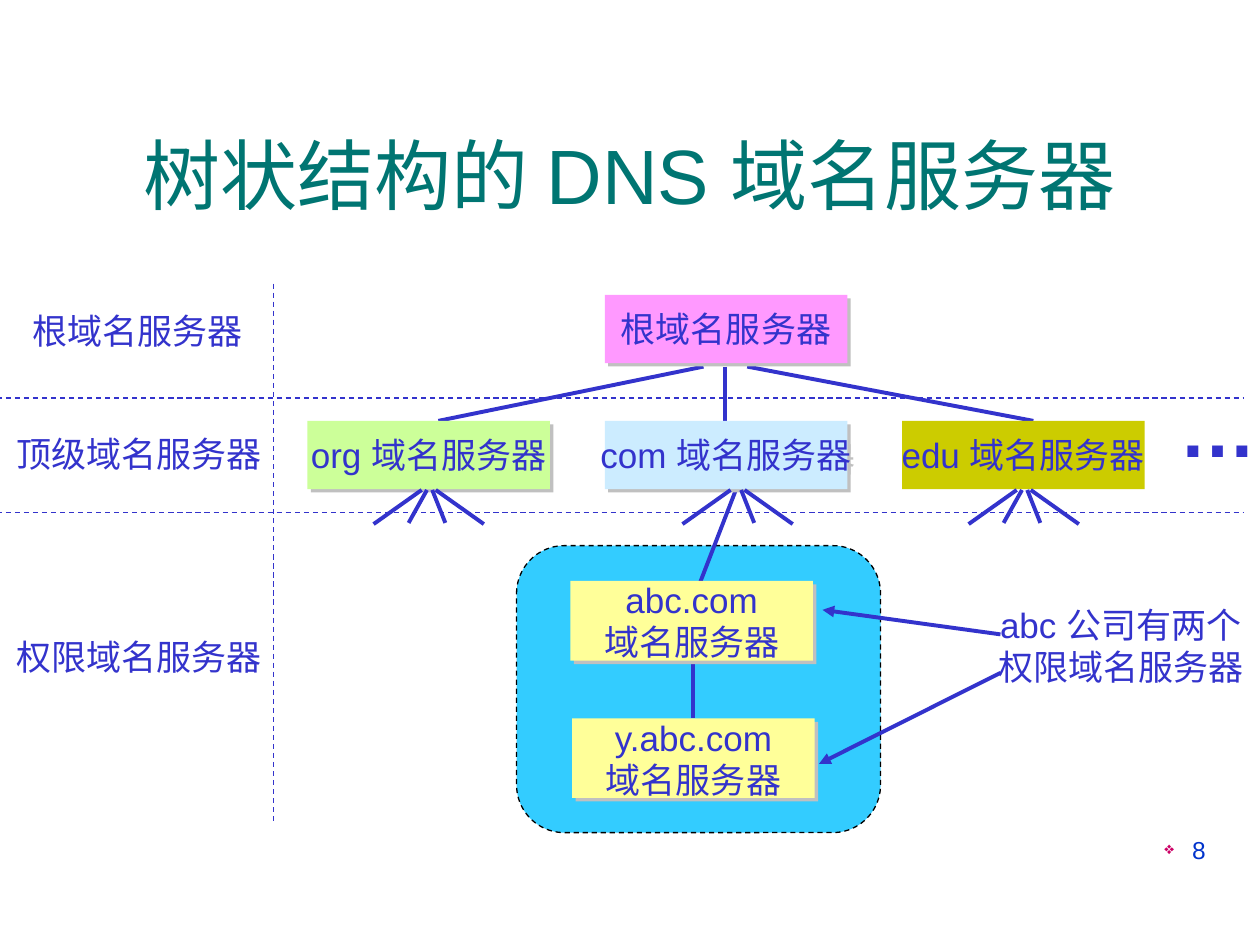
from lxml import etree
from pptx import Presentation
from pptx import util as u
from pptx.dml import color
from pptx.enum import dml, shapes, text
from pptx.oxml import ns

Pt = u.Pt
theme = {
    "font": "Arial", "title_size": 44, "body_size": 20, "number_size": 14,
    "title": "007572", "ink": "3333CC", "number": "0033CC", "bullet": "CC0066",
    "cluster": "33CCFF", "edge": "000000", "shadow": "C0C0C0",
    "root": "FF99FF", "org": "CCFF99", "com": "CCECFF", "edu": "CCCC00",
    "authority": "FFFF99", "heavy": 2.25, "thin": 0.75,
}


def line(x1, y1, x2, y2, dashed=False, arrow=False):
    c = s.shapes.add_connector(shapes.MSO_CONNECTOR.STRAIGHT, Pt(x1), Pt(y1), Pt(x2), Pt(y2))
    c.line.color.rgb = color.RGBColor.from_string(theme["ink"])
    c.line.width = Pt(theme["thin"] if dashed else theme["heavy"])
    if dashed:
        c.line.dash_style = dml.MSO_LINE.DASH
    if arrow:
        etree.SubElement(c.line._get_or_add_ln(), ns.qn("a:tailEnd"), type="triangle")
    etree.SubElement(c._element.spPr, ns.qn("a:effectLst"))


def write(sp, content, size="body_size", ink="ink", align=text.PP_ALIGN.CENTER,
          anchor=text.MSO_ANCHOR.TOP, wrap=False):
    tf = sp.text_frame
    tf.text = content
    tf.word_wrap = wrap
    tf.auto_size = text.MSO_AUTO_SIZE.NONE
    tf.vertical_anchor = anchor
    for p in tf.paragraphs:
        p.alignment = align
        p.font.name = theme["font"]
        p.font.size = Pt(theme[size])
        p.font.color.rgb = color.RGBColor.from_string(theme[ink])
    return tf.paragraphs[0]


prs = Presentation()
prs.slide_width, prs.slide_height = Pt(720), Pt(540)
s = prs.slides.add_slide(prs.slide_layouts[5])

title = s.shapes.title
title.left, title.top, title.width, title.height = Pt(24), Pt(54), Pt(672), Pt(90)
write(title, "树状结构的 DNS 域名服务器", "title_size", "title",
      anchor=text.MSO_ANCHOR.MIDDLE, wrap=True)

cluster = s.shapes.add_shape(shapes.MSO_SHAPE.ROUNDED_RECTANGLE,
                             Pt(295.2), Pt(311.8), Pt(208), Pt(164))
cluster.shadow.inherit = False
cluster.fill.solid()
cluster.fill.fore_color.rgb = color.RGBColor.from_string(theme["cluster"])
cluster.line.color.rgb = color.RGBColor.from_string(theme["edge"])
cluster.line.width = Pt(theme["thin"])
cluster.line.dash_style = dml.MSO_LINE.DASH

for x1, x2 in [(402, 250.5), (414.5, 414.5), (427, 590.5)]:
    line(x1, 209.5, x2, 240.5)
line(400, 333, 420.5, 280)
line(396, 371, 396, 410.5)

servers = [
    ("根域名服务器", 345.6, 168.5, 39, "root"),
    ("org 域名服务器", 175.7, 240.5, 39, "org"),
    ("com 域名服务器", 345.6, 240.5, 39, "com"),
    ("edu 域名服务器", 515.5, 240.5, 39, "edu"),
    ("abc.com\n域名服务器", 326, 332, 45.5, "authority"),
    ("y.abc.com\n域名服务器", 327, 410.5, 45.5, "authority"),
]
for name, x, y, h, fill in servers:
    sp = s.shapes.add_shape(shapes.MSO_SHAPE.RECTANGLE, Pt(x), Pt(y), Pt(138.6), Pt(h))
    sp.fill.solid()
    sp.fill.fore_color.rgb = color.RGBColor.from_string(theme[fill])
    sp.line.fill.background()
    sp.shadow.inherit = False
    if fill != "edu":
        effects = sp._element.spPr.find(ns.qn("a:effectLst"))
        shadow = etree.SubElement(effects, ns.qn("a:outerShdw"), blurRad="0",
                                  dist=str(Pt(2.8)), dir="2700000", algn="ctr", rotWithShape="0")
        etree.SubElement(shadow, ns.qn("a:srgbClr"), val=theme["shadow"])
    write(sp, name, anchor=text.MSO_ANCHOR.MIDDLE)

for center, spokes in [(245.5, 4), (422, 3), (585.5, 4)]:
    for dx1, dx2, y2 in [(3.5, 31, 299.5), (1.5, 9, 298.8),
                         (-4.5, -32, 299.5), (-1.5, -12, 298.8)][:spokes]:
        line(center + dx1, 280, center + dx2, y2)

for y in (227.5, 293):
    line(-7, y, 710.5, y, dashed=True)
line(156.5, 162, 156.5, 469.5, dashed=True)
line(571.7, 362.5, 470, 348.5, arrow=True)
line(571.7, 384.5, 468, 436.5, arrow=True)

labels = [
    ("根域名服务器", 11.5, 173.5, 134.6),
    ("顶级域名服务器", 2, 243.5, 154.8),
    ("权限域名服务器", 2, 359.5, 154.8),
]
for name, x, y, w in labels:
    write(s.shapes.add_textbox(Pt(x), Pt(y), Pt(w), Pt(31)), name)

note = s.shapes.add_textbox(Pt(563), Pt(341.3), Pt(155), Pt(55.5))
write(note, "abc 公司有两个\n权限域名服务器", wrap=True)

more = s.shapes.add_textbox(Pt(666.7), Pt(213.8), Pt(58.3), Pt(60.5))
write(more, "…", "title_size", align=text.PP_ALIGN.LEFT).font.bold = True

number = s.shapes.add_textbox(Pt(516.2), Pt(473.8), Pt(180), Pt(37.4))
p = write(number, "8", "number_size", "number", text.PP_ALIGN.RIGHT, wrap=True)
pPr = p._p.get_or_add_pPr()
pPr.set("marL", str(Pt(16)))
pPr.set("indent", str(-Pt(16)))
bullet = etree.Element(ns.qn("a:buClr"))
etree.SubElement(bullet, ns.qn("a:srgbClr"), val=theme["bullet"])
pPr.insert(0, bullet)
pPr.insert(1, etree.Element(ns.qn("a:buSzPct"), val="70000"))
pPr.insert(2, etree.Element(ns.qn("a:buChar"), char="❖"))

prs.save("out.pptx")
